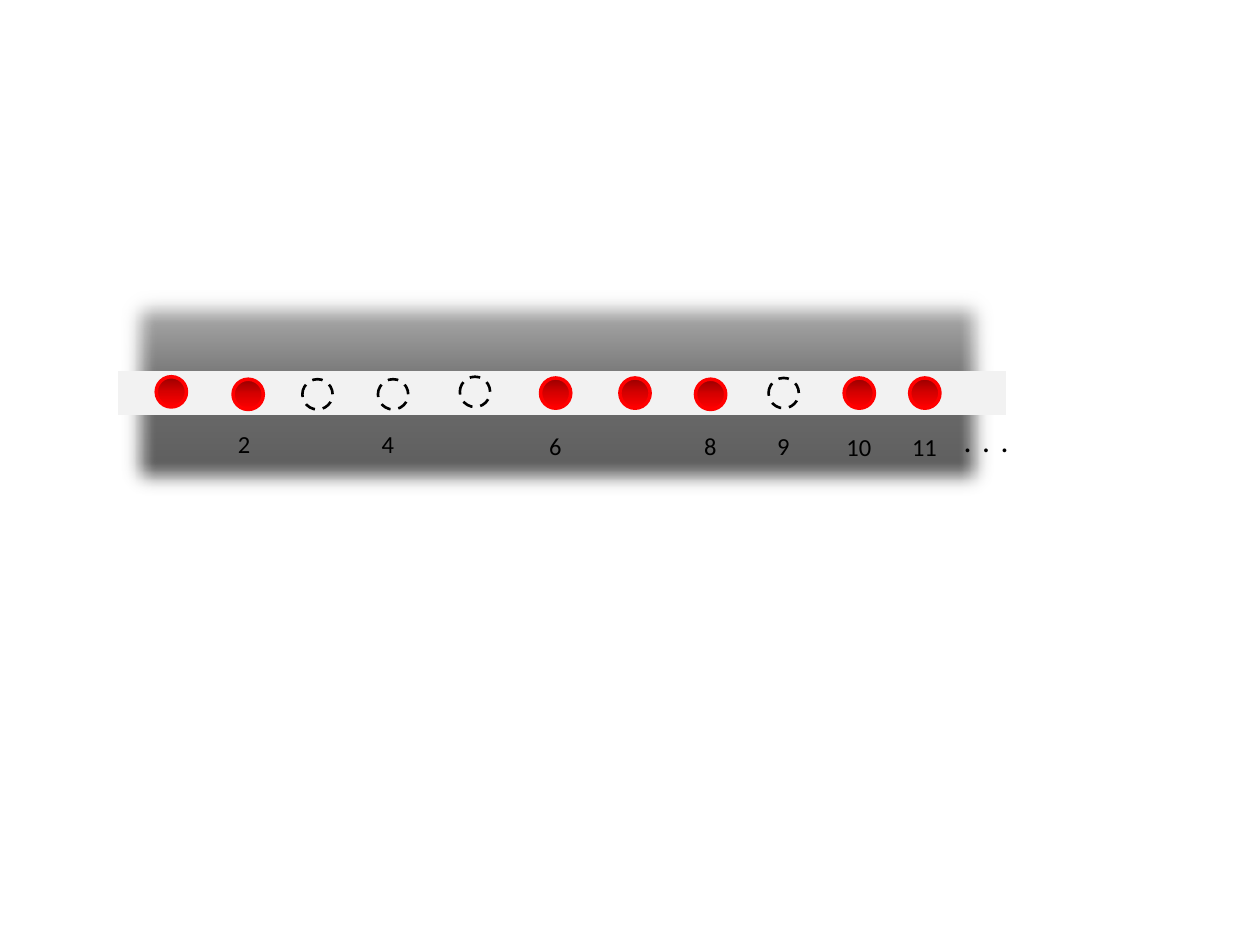
import pptx
import pptx.dml.color
import pptx.enum.dml
import pptx.enum.shapes
import pptx.enum.text
import pptx.oxml
import pptx.oxml.ns
import pptx.util

Inches = pptx.util.Inches
Pt = pptx.util.Pt
RGBColor = pptx.dml.color.RGBColor
qn = pptx.oxml.ns.qn
SHAPES = pptx.enum.shapes.MSO_SHAPE

BLACK = RGBColor(0x00, 0x00, 0x00)
RED = RGBColor(0xFF, 0x00, 0x00)
TRACK = RGBColor(0xF2, 0xF2, 0xF2)
BACKDROP_STOPS = ("595959", "6B6B6B", "BFBFBF")
BEAD_STOPS = ("970000", "D70000", "FF0000")
BEAD_SIZE = 0.24

# Sites in order: left, top, occupied
SITES = [
    (1.24, 2.99, True), (1.85, 3.01, True), (2.4, 3.01, False),
    (3, 3.01, False), (3.65, 2.99, False), (4.29, 3, True),
    (4.92, 3, True), (5.52, 3.01, True), (6.1, 3, False),
    (6.7, 3, True), (7.22, 3, True),
]

# Labels: text, left, top, width, height, size, letter spacing in points
LABELS = [
    ("2", 1.79, 3.36, 0.3, 0.34, 14, 0),
    ("4", 2.93, 3.36, 0.3, 0.34, 14, 0),
    ("6", 4.26, 3.37, 0.3, 0.34, 14, 0),
    ("8", 5.49, 3.37, 0.3, 0.34, 14, 0),
    ("9", 6.07, 3.37, 0.3, 0.34, 14, 0),
    ("10", 6.62, 3.38, 0.4, 0.34, 14, 0),
    ("11", 7.14, 3.38, 0.4, 0.34, 14, 0),
    ("...", 7.55, 3.29, 0.64, 0.4, 18, 6),
]


def add_element(parent, tag, **attributes):
    element = pptx.oxml.parse_xml(f"<{tag} {pptx.oxml.ns.nsdecls('a')}/>")
    for name, value in attributes.items():
        element.set(name, str(value))
    parent.append(element)
    return element


def fill_gradient(shape, colors, angle):
    """Spread the colours evenly; the angle runs counter-clockwise."""
    shape.fill.gradient()
    shape.fill.gradient_angle = angle
    stops = shape.element.spPr.find(qn("a:gradFill")).find(qn("a:gsLst"))
    for stop in list(stops):
        stops.remove(stop)
    for index, color in enumerate(colors):
        position = 100000 * index // (len(colors) - 1)
        stop = add_element(stops, "a:gs", pos=position)
        add_element(stop, "a:srgbClr", val=color)


def add_shape(page, kind, left, top, width, height):
    shape = page.shapes.add_shape(
        kind, Inches(left), Inches(top), Inches(width), Inches(height))
    shape.shadow.inherit = False
    return shape


def add_backdrop(page):
    backdrop = add_shape(page, SHAPES.RECTANGLE, 0.91, 2.25, 7.02, 1.73)
    fill_gradient(backdrop, BACKDROP_STOPS, 90)
    backdrop.line.fill.background()
    effects = backdrop.element.spPr.find(qn("a:effectLst"))
    add_element(effects, "a:softEdge", rad=Pt(12.5))


def add_track(page):
    track = page.shapes.add_connector(
        pptx.enum.shapes.MSO_CONNECTOR.STRAIGHT,
        Inches(1.11), Inches(3.12), Inches(7.81), Inches(3.12))
    track.line.color.rgb = TRACK
    track.line.width = Pt(25)
    properties = track.element.spPr
    properties.find(qn("a:ln")).set("cap", "sq")
    add_element(properties, "a:effectLst")


def add_site(page, left, top, occupied):
    site = add_shape(page, SHAPES.OVAL, left, top, BEAD_SIZE, BEAD_SIZE)
    if occupied:
        fill_gradient(site, BEAD_STOPS, 270)
        site.line.color.rgb = RED
        site.line.width = Pt(2)
    else:
        site.fill.background()
        site.line.color.rgb = BLACK
        site.line.width = Pt(1.5)
        site.line.dash_style = pptx.enum.dml.MSO_LINE.DASH


def add_label(page, text, left, top, width, height, size, spacing):
    box = page.shapes.add_textbox(
        Inches(left), Inches(top), Inches(width), Inches(height))
    frame = box.text_frame
    frame.word_wrap = False
    frame.auto_size = pptx.enum.text.MSO_AUTO_SIZE.SHAPE_TO_FIT_TEXT
    span = frame.paragraphs[0].add_run()
    span.text = text
    span.font.name = "Calibri"
    span.font.size = Pt(size)
    span.font.color.rgb = BLACK
    if spacing:
        span.font._element.set("spc", str(spacing * 100))


def main():
    deck = pptx.Presentation()
    deck.slide_width = Inches(10)
    deck.slide_height = Inches(7.5)
    page = deck.slides.add_slide(deck.slide_layouts[6])

    add_backdrop(page)
    add_track(page)
    for site in SITES:
        add_site(page, *site)
    for label in LABELS:
        add_label(page, *label)

    deck.save("out.pptx")


if __name__ == "__main__":
    main()
